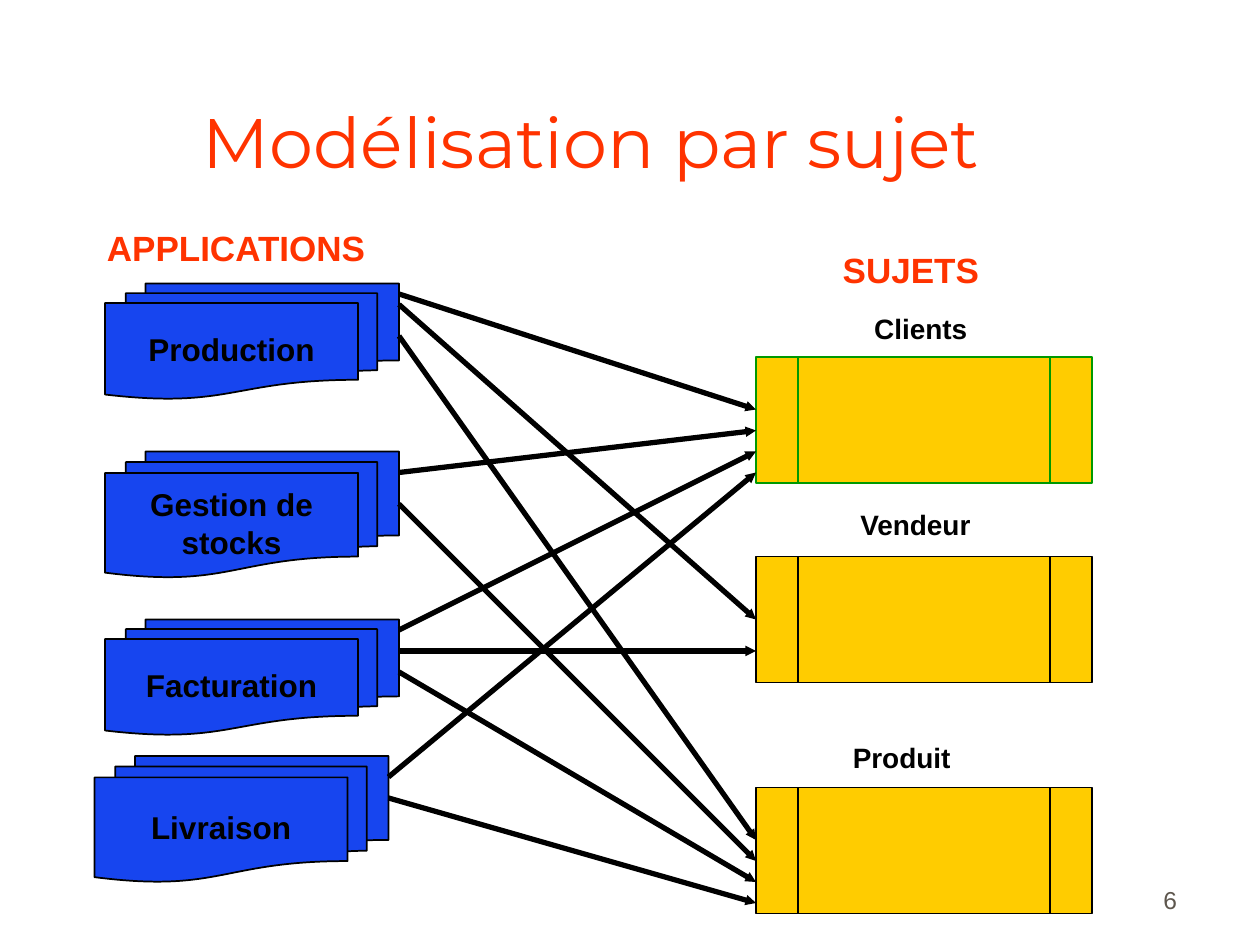
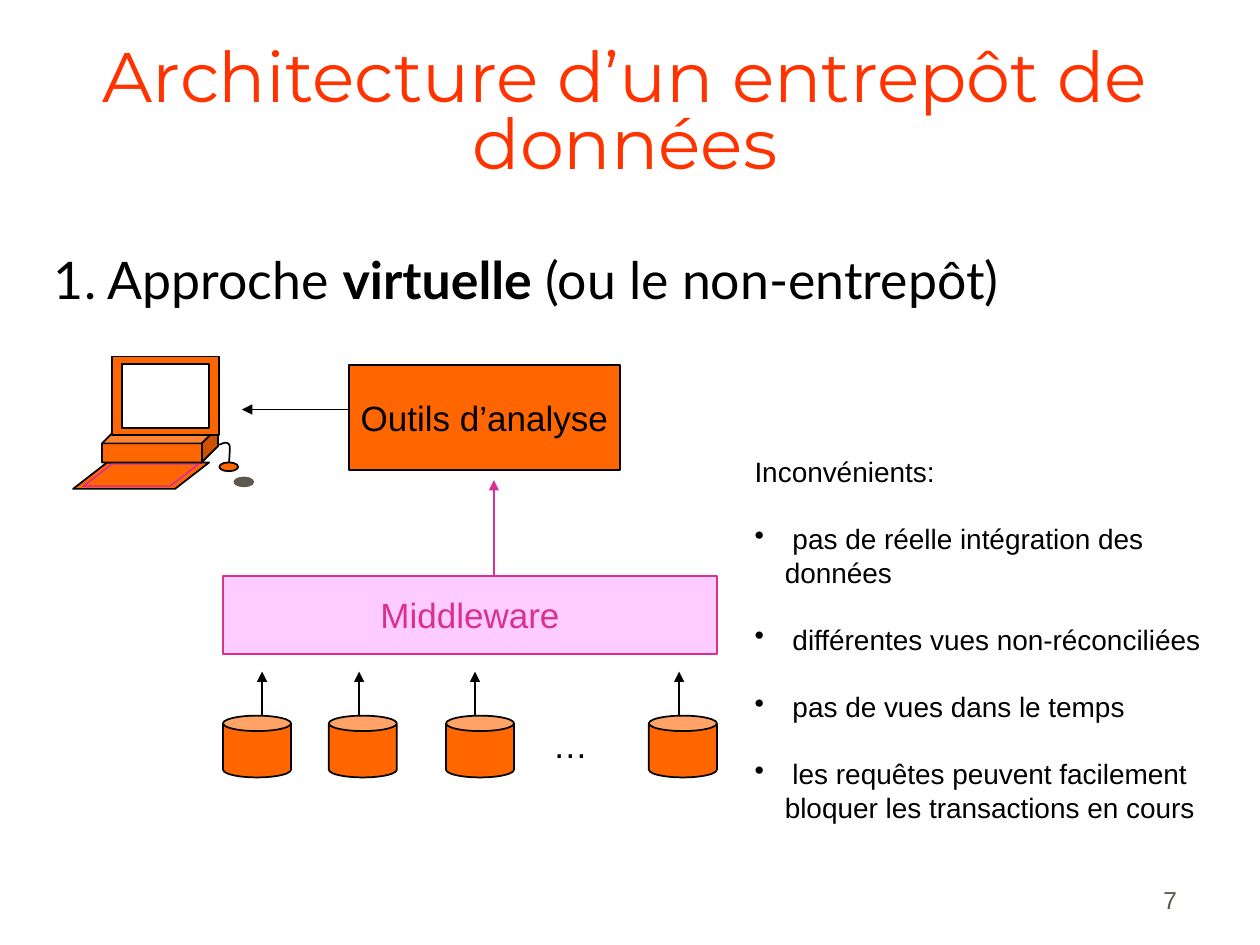
from dataclasses import dataclass

import pptx
import pptx.dml.color
import pptx.enum.shapes
import pptx.enum.text
import pptx.oxml
import pptx.util
from lxml import etree

SHAPE = pptx.enum.shapes.MSO_SHAPE
ALIGN = pptx.enum.text.PP_ALIGN
ANCHOR = pptx.enum.text.MSO_ANCHOR
Inches = pptx.util.Inches
Pt = pptx.util.Pt


@dataclass(frozen=True)
class Theme:
    title_font: str = "Montserrat"
    body_font: str = "Lato"
    label_font: str = "Arial"
    accent: str = "FF3300"
    ink: str = "000000"
    muted: str = "5E574E"
    white: str = "FFFFFF"
    blue: str = "1745EF"
    yellow: str = "FFCC00"
    green: str = "009900"
    orange: str = "FF6600"
    pink: str = "FFCCFF"
    magenta: str = "D93192"
    title_size: float = 40
    body_size: float = 29.6
    heading_size: float = 20
    box_size: float = 18
    label_size: float = 16
    number_size: float = 14


THEME = Theme()
SLIDE_WIDTH, SLIDE_HEIGHT = 10, 7.5
NUMBER_AREA = (7.36, 6.81, 2.08, 0.5)

# Slide 1: every length is in twelfths of an inch.
GRID = 1 / 12
SUBJECT_LEFT, SUBJECT_WIDTH, SUBJECT_HEIGHT = 72, 32, 12
APPLICATION_WIDTH = 28
# name: (top, line colour, label area in inches)
SUBJECTS = {
    "Clients": (34, THEME.green, (6.84, 2.42, 1.3, 0.37)),
    "Vendeur": (53, THEME.ink, (6.73, 3.98, 1.3, 0.37)),
    "Produit": (75, THEME.ink, (6.67, 5.83, 1.3, 0.37)),
}
# name, left, top, height, links (rows below own top, subject, rows below its top)
APPLICATIONS = [
    ("Livraison", 9, 72, 12, [(4, "Produit", 11), (2, "Clients", 11)]),
    ("Production", 10, 27, 11,
     [(1, "Clients", 5), (2, "Vendeur", 6), (5, "Produit", 5)]),
    ("Gestion de\nstocks", 10, 43, 12, [(2, "Clients", 7), (5, "Produit", 7)]),
    ("Facturation", 10, 59, 11,
     [(1, "Clients", 9), (3, "Vendeur", 9), (5, "Produit", 9)]),
]
HEADINGS = [
    ("APPLICATIONS", (0.75, 1.75, 2.5, 0.44)),
    ("SUJETS", (6.59, 1.92, 1.5, 0.44)),
]

# Slide 2: lengths are in inches.
APPROACH = [("1. Approche ", False), ("virtuelle", True),
            (" (ou le non-entrepôt)", False)]
DRAWBACKS = [
    "Inconvénients:",
    " pas de réelle intégration des données",
    " différentes vues non-réconciliées",
    " pas de vues dans le temps",
    " les requêtes peuvent facilement\vbloquer les transactions en cours",
]
# preset, area, fill, line, first adjustment
WORKSTATION = [
    (SHAPE.PARALLELOGRAM, (0.58, 3.67, 1.08, 0.21), THEME.orange, THEME.ink, 1.29),
    (SHAPE.PARALLELOGRAM, (0.66, 3.68, 0.92, 0.18), THEME.orange, THEME.magenta, 1.29),
    (SHAPE.OVAL, (1.86, 3.79, 0.15, 0.07), THEME.muted, THEME.muted, None),
    (SHAPE.OVAL, (1.74, 3.67, 0.15, 0.07), THEME.orange, THEME.ink, None),
    (SHAPE.CUBE, (0.81, 3.39, 0.92, 0.28), THEME.orange, THEME.ink, 0.46),
    (SHAPE.RECTANGLE, (0.89, 2.83, 0.85, 0.62), THEME.orange, THEME.ink, None),
    (SHAPE.RECTANGLE, (0.97, 2.89, 0.69, 0.51), THEME.white, THEME.ink, None),
]
MOUSE_CABLE = [
    [(1.74, 3.53), (1.77, 3.52), (1.8, 3.5), (1.82, 3.53)],
    [(1.82, 3.53), (1.83, 3.55), (1.82, 3.61), (1.82, 3.67)],
]
# text, area, fill, line and text colours
LAYERS = [
    ("Outils d’analyse", (2.77, 2.9, 2.15, 0.83), THEME.orange, THEME.ink),
    ("Middleware", (1.77, 4.57, 3.92, 0.62), THEME.pink, THEME.magenta),
]
SOURCES = [(1.77, 2.08), (2.61, 2.85), (3.54, 3.77), (5.15, 5.39)]  # left, arrow x
SOURCE_TOP, SOURCE_WIDTH, SOURCE_HEIGHT, SOURCE_ARROW_END = 5.68, 0.54, 0.49, 5.33
FLOWS = [
    ((3.92, 4.57), (3.92, 3.81), THEME.magenta),
    ((2.77, 3.25), (1.92, 3.25), THEME.ink),
]


def rgb(value):
    return pptx.dml.color.RGBColor.from_string(value)


def style(paragraph, size, color=THEME.ink, font=THEME.label_font, bold=False,
          align=ALIGN.LEFT):
    paragraph.alignment = align
    paragraph.font.name = font
    paragraph.font.size = Pt(size)
    paragraph.font.bold = bold
    paragraph.font.color.rgb = rgb(color)


def write(shape, text, size, anchor=ANCHOR.TOP, wrap=True, **look):
    """Fill a shape with one paragraph per line of text."""
    frame = shape.text_frame
    frame.word_wrap = wrap
    frame.vertical_anchor = anchor
    frame.text = text
    for paragraph in frame.paragraphs:
        style(paragraph, size, **look)
    return frame


def add_text(slide, area, text, size, **look):
    return write(slide.shapes.add_textbox(*map(Inches, area)), text, size, **look)


def add_box(slide, preset, area, fill, line=THEME.ink, adjustment=None):
    shape = slide.shapes.add_shape(preset, *map(Inches, area))
    shape.shadow.inherit = False
    shape.fill.solid()
    shape.fill.fore_color.rgb = rgb(fill)
    shape.line.color.rgb = rgb(line)
    shape.line.width = Pt(1)
    if adjustment is not None:
        shape.adjustments[0] = adjustment
    return shape


def add_arrow(slide, start, end, color=THEME.ink, width=1, head="med"):
    connector = slide.shapes.add_connector(
        pptx.enum.shapes.MSO_CONNECTOR.STRAIGHT, *map(Inches, (*start, *end)))
    connector.line.color.rgb = rgb(color)
    connector.line.width = Pt(width)
    qn = pptx.oxml.ns.qn
    etree.SubElement(connector.line._get_or_add_ln(), qn("a:tailEnd"),
                     type="triangle", w=head, len=head)
    etree.SubElement(connector._element.spPr, qn("a:effectLst"))


def add_bullet(paragraph):
    properties = paragraph._p.get_or_add_pPr()
    properties.set("marL", str(Inches(0.24)))
    properties.set("indent", str(-Inches(0.24)))
    etree.SubElement(properties, pptx.oxml.ns.qn("a:buChar"), char="•")


def add_slide(presentation, title, title_area, number):
    """Start a blank slide with the shared title and page number."""
    slide = presentation.slides.add_slide(presentation.slide_layouts[6])
    add_text(slide, NUMBER_AREA, str(number), THEME.number_size, color=THEME.muted,
             align=ALIGN.RIGHT, anchor=ANCHOR.BOTTOM)
    frame = add_text(slide, title_area, title, THEME.title_size, color=THEME.accent,
                     font=THEME.title_font, align=ALIGN.CENTER, anchor=ANCHOR.BOTTOM)
    return slide, frame


def on_grid(*cells):
    return tuple(cell * GRID for cell in cells)


def build_subject_slide(presentation):
    slide, _ = add_slide(presentation, "Modélisation par sujet",
                         (0.44, 0.25, 8.5, 1.25), 6)
    for text, area in HEADINGS:
        add_text(slide, area, text, THEME.heading_size, color=THEME.accent, bold=True)
    for name, (top, line, label_area) in SUBJECTS.items():
        area = on_grid(SUBJECT_LEFT, top, SUBJECT_WIDTH, SUBJECT_HEIGHT)
        add_box(slide, SHAPE.FLOWCHART_PREDEFINED_PROCESS, area, THEME.yellow, line)
        add_text(slide, label_area, name, THEME.label_size, bold=True)
    for name, left, top, height, links in APPLICATIONS:
        box = add_box(slide, SHAPE.FLOWCHART_MULTIDOCUMENT,
                      on_grid(left, top, APPLICATION_WIDTH, height), THEME.blue)
        write(box, name, THEME.box_size, anchor=ANCHOR.MIDDLE, wrap=False, bold=True,
              align=ALIGN.CENTER)
        for start_row, subject, end_row in links:
            add_arrow(slide, on_grid(left + APPLICATION_WIDTH, top + start_row),
                      on_grid(SUBJECT_LEFT, SUBJECTS[subject][0] + end_row),
                      width=3, head="sm")


def curve_points(curve, steps=8):
    """Points along a cubic Bézier curve."""
    for step in range(steps + 1):
        t = step / steps
        weights = ((1 - t) ** 3, 3 * t * (1 - t) ** 2, 3 * t * t * (1 - t), t ** 3)
        yield tuple(Inches(sum(w * point[axis] for w, point in zip(weights, curve)))
                    for axis in (0, 1))


def add_workstation(slide):
    for part in WORKSTATION:
        add_box(slide, *part)
    points = [point for curve in MOUSE_CABLE for point in curve_points(curve)]
    builder = slide.shapes.build_freeform(*points[0])
    builder.add_line_segments(points[1:], close=False)
    cable = builder.convert_to_shape()
    cable.shadow.inherit = False
    cable.fill.background()
    cable.line.color.rgb = rgb(THEME.ink)
    cable.line.width = Pt(1)


def build_architecture_slide(presentation):
    slide, title = add_slide(presentation, "Architecture d’un entrepôt de données",
                             (0.5, 0.5, 8.92, 1), 7)
    title.paragraphs[0].line_spacing = 0.8

    approach = add_text(slide, (0.33, 1.92, 9.08, 0.58), "", THEME.body_size,
                        font=THEME.body_font).paragraphs[0]
    for text, bold in APPROACH:
        run = approach.add_run()
        run.text = text
        run.font.bold = bold

    add_workstation(slide)
    for text, area, fill, color in LAYERS:
        box = add_box(slide, SHAPE.RECTANGLE, area, fill, color)
        write(box, text, THEME.heading_size, anchor=ANCHOR.MIDDLE, wrap=False,
              color=color, align=ALIGN.CENTER)
    for left, arrow_x in SOURCES:
        add_box(slide, SHAPE.CAN, (left, SOURCE_TOP, SOURCE_WIDTH, SOURCE_HEIGHT),
                THEME.orange, THEME.ink, 0.25)
        add_arrow(slide, (arrow_x, SOURCE_TOP), (arrow_x, SOURCE_ARROW_END))
    add_text(slide, (4.29, 5.69, 0.6, 0.44), "…", THEME.heading_size)
    for flow in FLOWS:
        add_arrow(slide, *flow)

    frame = add_text(slide, (5.89, 3.56, 4.03, 2.77), DRAWBACKS[0], THEME.label_size)
    for text in DRAWBACKS[1:]:
        paragraph = frame.add_paragraph()
        paragraph.text = text
        add_bullet(paragraph)
        paragraph.space_before = Pt(19.2)
        style(paragraph, THEME.label_size)


def main():
    presentation = pptx.Presentation()
    presentation.slide_width = Inches(SLIDE_WIDTH)
    presentation.slide_height = Inches(SLIDE_HEIGHT)
    build_subject_slide(presentation)
    build_architecture_slide(presentation)
    presentation.save("out.pptx")


if __name__ == "__main__":
    main()
